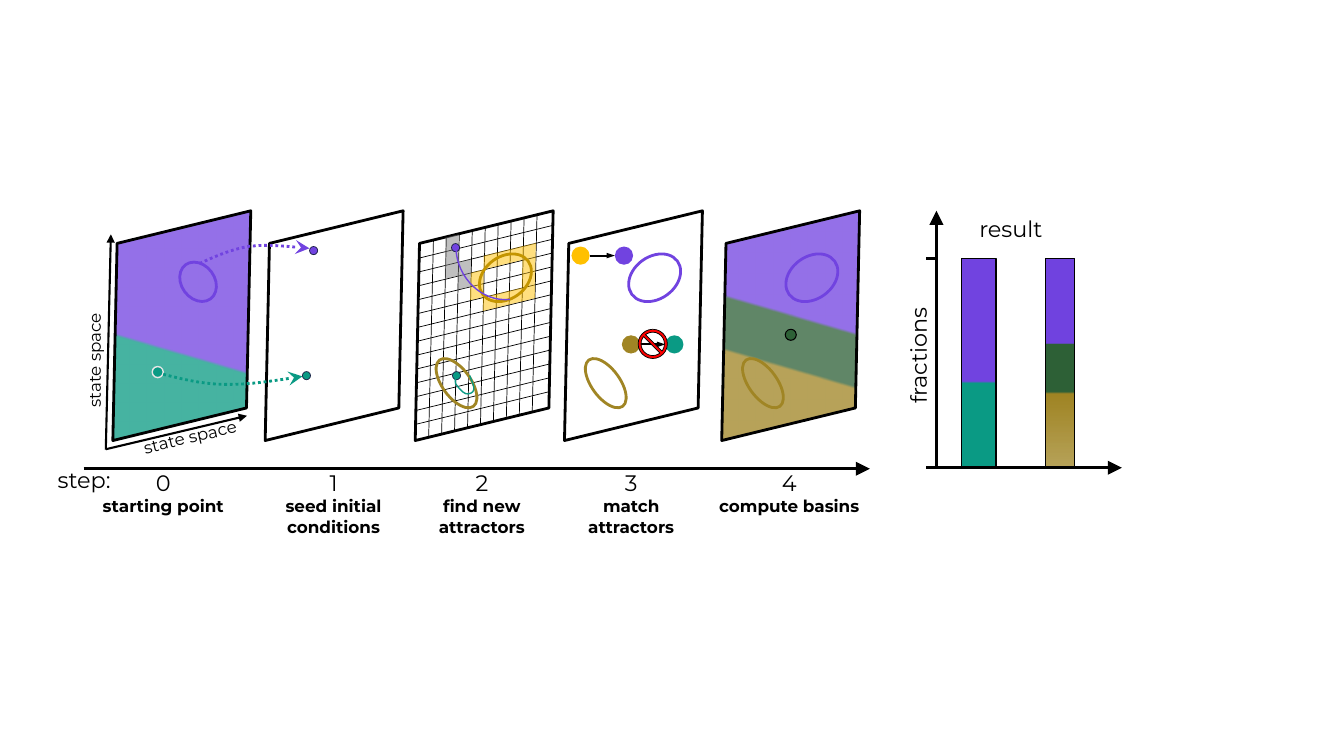
from lxml import etree
from pptx import Presentation
from pptx import util as u
from pptx.dml.color import RGBColor
from pptx.enum import dml, shapes, text
from pptx.oxml.ns import qn

PURPLE, TEAL, GREEN, BROWN = "7143E0", "0A9A84", "2E6137", "A08524"
GOLD, GRAY, BLACK, NAVY = "FFC000", "808080", "000000", "191E44"
SHAPE = shapes.MSO_SHAPE
TILT = 323.9


def color(code):
    """Turn a hex string into a colour."""
    return RGBColor.from_string(code)


def set_alpha(parent, percent):
    """Give the colour element its opacity."""
    etree.SubElement(parent, qn("a:alpha")).set("val", str(percent * 1000))


def set_line(item, code, width, dash=None, head=None, spread="med", reach="med"):
    """Format an outline, its dash and its arrowhead."""
    item.line.color.rgb = color(code)
    item.line.width = u.Pt(width)
    if dash:
        item.line.dash_style = dash
    if head:
        ln = item.element.spPr.find(qn("a:ln"))
        etree.SubElement(ln, qn("a:tailEnd"), type=head, w=spread, len=reach)


def set_gradient(item, stops, angle):
    """Fill with (position, colour, opacity) stops, turning clockwise."""
    item.fill.gradient()
    item.fill.gradient_angle = 360 - angle
    stop_list = next(item.element.iter(qn("a:gsLst")))
    stop_list.clear()
    for position, code, alpha in stops:
        stop = etree.SubElement(stop_list, qn("a:gs"))
        stop.set("pos", str(position * 1000))
        tone = etree.SubElement(stop, qn("a:srgbClr"))
        tone.set("val", code)
        set_alpha(tone, alpha)


def draw(slide, kind, x, y, w, h, fill=None, line=None, width=2, rotation=0, adjust=(), alpha=100):
    """Place a preset shape with its fill and outline."""
    item = slide.shapes.add_shape(kind, u.Pt(x), u.Pt(y), u.Pt(w), u.Pt(h))
    item.rotation = rotation
    item.shadow.inherit = False
    for index, value in enumerate(adjust):
        item.adjustments[index] = value
    if fill:
        item.fill.solid()
        item.fill.fore_color.rgb = color(fill)
        if alpha < 100:
            set_alpha(next(item.element.spPr.iter(qn("a:srgbClr"))), alpha)
    else:
        item.fill.background()
    if line:
        set_line(item, line, width)
    else:
        item.line.fill.background()
    return item


def segment(slide, x1, y1, x2, y2, width=2, **arrow):
    """Draw a straight black line or arrow."""
    item = slide.shapes.add_connector(
        shapes.MSO_CONNECTOR.STRAIGHT, u.Pt(x1), u.Pt(y1), u.Pt(x2), u.Pt(y2))
    set_line(item, BLACK, width, **arrow)
    etree.SubElement(item.element.spPr, qn("a:effectLst"))


def axis(slide, x1, y1, x2, y2):
    """Draw an axis with a large arrowhead."""
    segment(slide, x1, y1, x2, y2, head="triangle", spread="lg", reach="lg")


def curve(slide, x, y, points, code, width=2, **style):
    """Draw cubic Bézier pieces through points relative to (x, y)."""
    scaled = [(u.Pt(x + dx), u.Pt(y + dy)) for dx, dy in points]
    builder = slide.shapes.build_freeform(*scaled[0])
    builder.add_line_segments(scaled[1:], close=False)
    item = builder.convert_to_shape()
    pieces = list(item.element.iter(qn("a:lnTo")))
    for first, second, third in zip(pieces[::3], pieces[1::3], pieces[2::3]):
        bezier = etree.Element(qn("a:cubicBezTo"))
        first.addprevious(bezier)
        for piece in (first, second, third):
            bezier.append(piece[0])
            piece.getparent().remove(piece)
    item.shadow.inherit = False
    item.fill.background()
    set_line(item, code, width, **style)


def write(slide, content, x, y, w, h, size=16, rotation=0, caption=None):
    """Write centred text, with an optional bold caption below."""
    box = slide.shapes.add_textbox(u.Pt(x), u.Pt(y), u.Pt(w), u.Pt(h))
    box.rotation = rotation
    frame = box.text_frame
    frame.word_wrap = True
    frame.auto_size = text.MSO_AUTO_SIZE.SHAPE_TO_FIT_TEXT
    rows = [(content, size, False)] + ([(caption, 12, True)] if caption else [])
    for index, (words, points, bold) in enumerate(rows):
        paragraph = frame.add_paragraph() if index else frame.paragraphs[0]
        paragraph.alignment = text.PP_ALIGN.CENTER
        run = paragraph.add_run()
        run.text = words
        run.font.name, run.font.size, run.font.bold = "Montserrat", u.Pt(points), bold
        run.font.color.rgb = color(BLACK)


def plane(slide, x, y, stops=None):
    """Draw one slanted state space plane."""
    item = draw(slide, SHAPE.PARALLELOGRAM, x, y, 134.6, 136.1, line=BLACK, rotation=346.3, adjust=[0.27])
    if stops:
        set_gradient(item, [(position, code, 75) for position, code in stops], 120)


def dot(slide, x, y, fill, size=5.8, line=NAVY, width=0.5):
    """Draw a state as a small disc."""
    draw(slide, SHAPE.OVAL, x, y, size, size, fill, line, width)


def narrow_attractor(slide, x, y):
    """Draw the lower attractor of a plane."""
    draw(slide, SHAPE.OVAL, x + 37.4, y + 88.6, 20.2, 41, line=BROWN, rotation=TILT)


def wide_attractor(slide, x, y, code=PURPLE):
    """Draw the upper attractor of a plane."""
    draw(slide, SHAPE.OVAL, x + 62.3, y + 18.7, 40.3, 30.2, line=code, rotation=TILT)


def starting_point(slide, x, y):
    """Draw step 0 with its state space axes."""
    plane(slide, x, y, [(0, PURPLE), (59, PURPLE), (60, TEAL), (100, TEAL)])
    draw(slide, SHAPE.OVAL, x + 67, y + 21.6, 23.8, 30.2, line=PURPLE, rotation=TILT)
    dot(slide, x + 46.1, y + 97.2, TEAL, 7.9, "E7E6E6", 1)
    segment(slide, x + 13, y + 156.6, x + 16.6, y + 2.8, 1.5, head="triangle")
    segment(slide, x + 13, y + 156.3, x + 113.8, y + 132.4, 1.5, head="triangle")
    write(slide, "state space", x - 48.9, y + 82, 107.3, 21.6, 12, 270)
    write(slide, "state space", x + 19.5, y + 136.7, 107.3, 21.6, 12, 346.8)


def seed_conditions(slide, x, y):
    """Draw step 1 with the two seeds and the arrows leading there."""
    plane(slide, x, y)
    trails = [
        (PURPLE, [(-28.8, 23.6), (-18, 18.6), (-6.5, 13.6), (6.4, 11.4), (19.4, 10), (34.5, 11.4), (49.6, 12.8)]),
        (TEAL, [(-54.8, 102.8), (-40.4, 106.4), (-26, 110), (-9.4, 110), (7.2, 110), (25.9, 107.2), (44.6, 104.3)]),
    ]
    for code, points in trails:
        curve(slide, x, y, points, code, dash=dml.MSO_LINE.ROUND_DOT, head="stealth", spread="lg", reach="lg")
    dot(slide, x + 49.7, y + 11.5, PURPLE)
    dot(slide, x + 44.6, y + 100.8, TEAL)


def find_attractors(slide, x, y):
    """Draw step 2 with its grid, visited cells and attractors."""
    plane(slide, x, y)
    for column in range(9):
        left, top = x + 31 + 9.25 * column, y + 7 - 2.25 * column
        segment(slide, left, top, left - 3.4, top + 140.4, 0.5)
    for row in range(13):
        right, top = x + 114 + 0.22 * row, y + 115.1 - 9.9 * row
        segment(slide, right, top, right - 96, top + 23.5, 0.5)
    dot(slide, x + 44.6, y + 100.8, TEAL)
    narrow_attractor(slide, x, y)
    curve(slide, x, y, [
        (47.5, 103), (46.8, 105.1), (46.1, 107.3), (46.8, 109.4), (48.2, 111.6), (51.8, 115.9), (54, 116.6),
        (56.2, 117.4), (59.8, 115.9), (59.8, 113.8), (60.5, 111.6), (58.3, 107.3), (56.9, 103.7)], TEAL, 1)
    visited = {
        GOLD: [(2, 3), (2, 4), (3, 2), (3, 5), (4, 2), (4, 5), (5, 2), (5, 5), (6, 2), (6, 3), (6, 4), (6, 5)],
        GRAY: [(0, 0), (0, 1), (0, 2), (1, 2), (1, 3)],
    }
    for code, cells in visited.items():
        for column, row in cells:
            draw(slide, SHAPE.PARALLELOGRAM, x + 38.2 + 9.25 * column - 0.2 * row,
                 y + 4.2 - 2.28 * column + 9.9 * row, 12.2, 9.4, code,
                 rotation=346, adjust=[0.26], alpha=50)
    dot(slide, x + 43.9, y + 9.4, PURPLE)
    wide_attractor(slide, x, y, "C49500")
    curve(slide, x, y, [(47.1, 12.2), (47.5, 34), (66, 51.5), (85.7, 49.3)], PURPLE, 1)


def match_attractors(slide, x, y):
    """Draw step 3 with an accepted and a rejected match."""
    plane(slide, x, y)
    narrow_attractor(slide, x, y)
    wide_attractor(slide, x, y)
    for left, top, found, known in [(23, 11.5, GOLD, PURPLE), (59, 74.9, BROWN, TEAL)]:
        segment(slide, x + left + 13, y + top + 6.5, x + left + 31, y + top + 6.5, 1.5,
                head="triangle", spread="sm")
        for shift, code in [(0, found), (31, known)]:
            dot(slide, x + left + shift, y + top, code, 13, None)
    draw(slide, SHAPE.NO_SYMBOL, x + 70.6, y + 70.6, 20.9, 20.9, "FF0000", BLACK, 0.5, adjust=[0.1])


def compute_basins(slide, x, y):
    """Draw step 4 with its three basins."""
    plane(slide, x, y, [(0, PURPLE), (46, PURPLE), (47, GREEN), (64, GREEN), (65, BROWN), (100, BROWN)])
    narrow_attractor(slide, x, y)
    wide_attractor(slide, x, y)
    dot(slide, x + 63.4, y + 70.6, GREEN, 7.9, BLACK, 0.75)


def step_axis(slide, x, y, steps):
    """Draw the step arrow with a number and a caption per step."""
    axis(slide, x, y, x + 561.6, y)
    write(slide, "step:", x - 34.6, y - 5.3, 69.8, 26.6)
    for number, (center, caption) in enumerate(steps):
        write(slide, str(number), center - 57.6, y - 3.1, 116, 55.4, caption=caption)


def result(slide, x, y):
    """Draw the basin fractions before and after."""
    write(slide, "fractions", x - 68.4, y + 90.2, 125.3, 26.6, rotation=270)
    axis(slide, x, y + 183.6, x + 139.7, y + 183.6)
    axis(slide, x + 7.2, y + 183.6, x + 7.2, y)
    segment(slide, x, y + 34.3, x + 7.2, y + 34.3)
    before = [(0, PURPLE, 100), (59, PURPLE, 100), (60, TEAL, 100), (100, TEAL, 100)]
    after = [(0, PURPLE, 100), (41, PURPLE, 100), (41, GREEN, 100), (64, GREEN, 100),
             (65, BROWN, 100), (100, BROWN, 75)]
    for left, width, stops in [(25.2, 24.5, before), (85, 20.9, after)]:
        bar = draw(slide, SHAPE.RECTANGLE, x + left, y + 34, width, 148.8, line=BLACK, width=1)
        set_gradient(bar, stops, 90)
    write(slide, "result", x - 5.8, y, 132.5, 26.6)


def main():
    """Build the slide and save it."""
    deck = Presentation()
    deck.slide_width, deck.slide_height = u.Pt(960), u.Pt(540)
    slide = deck.slides.add_slide(deck.slide_layouts[6])
    steps = [
        (starting_point, 62.6, 116.3, "starting point"),
        (seed_conditions, 171.4, 237.9, "seed initial conditions"),
        (find_attractors, 278.6, 343.8, "find new attractors"),
        (match_attractors, 385.2, 450.5, "match attractors"),
        (compute_basins, 497.5, 563.4, "compute basins"),
    ]
    for draw_step, left, _, _ in steps:
        draw_step(slide, left, 164.6)
    step_axis(slide, 59.8, 334.8, [(center, caption) for _, _, center, caption in steps])
    result(slide, 661.7, 150.5)
    deck.save("out.pptx")


if __name__ == "__main__":
    main()
